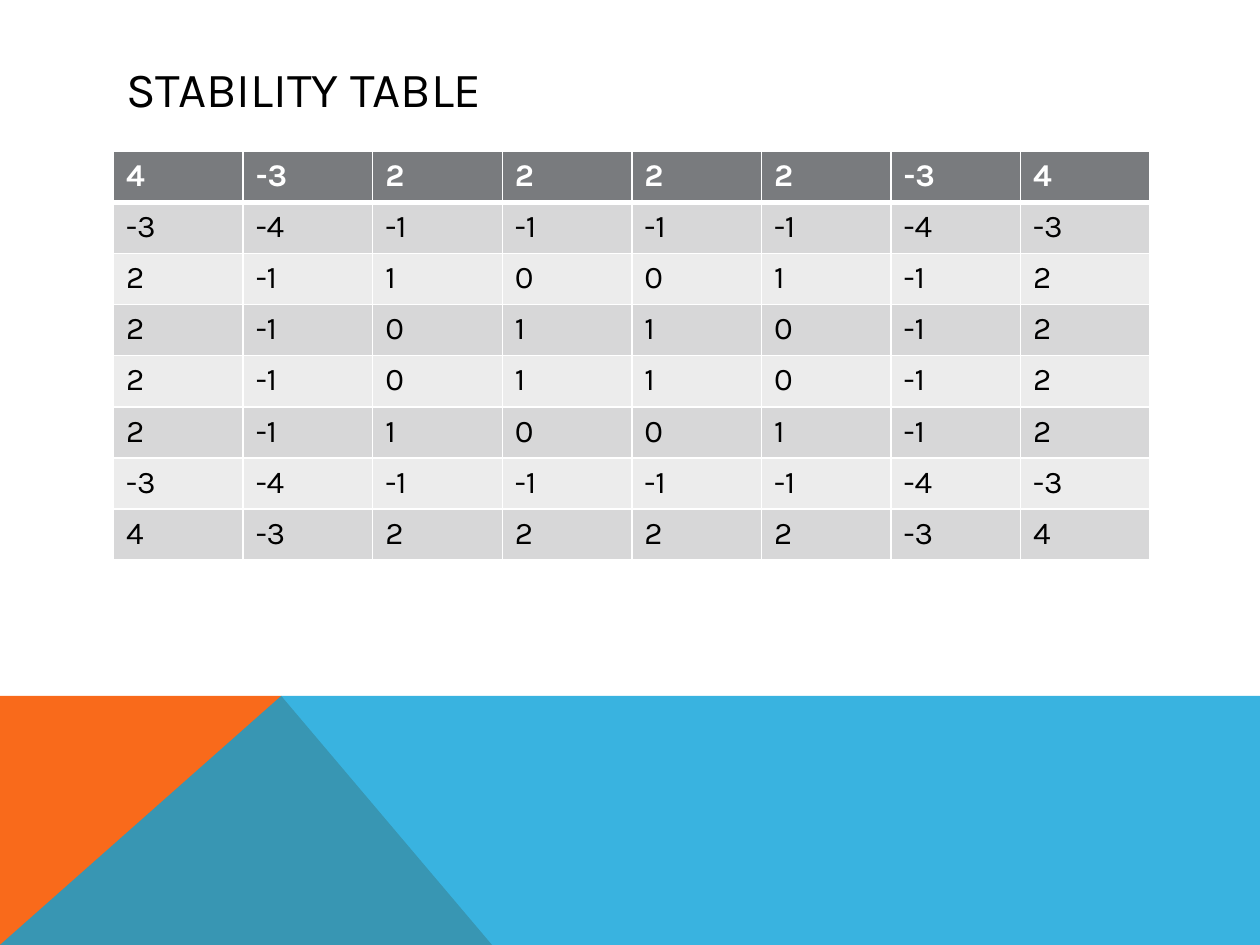
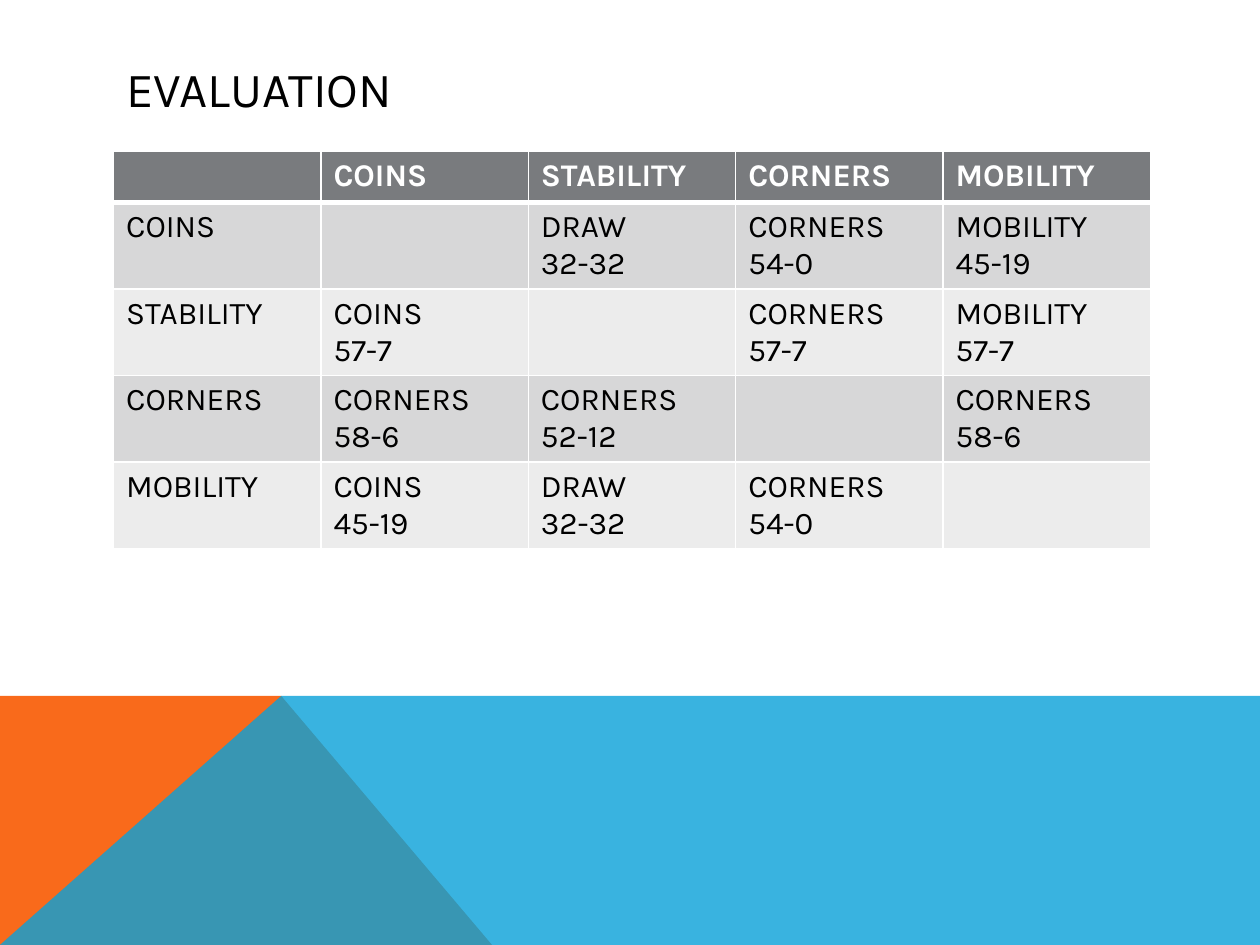
from dataclasses import dataclass

from lxml.etree import SubElement
from pptx import Presentation
from pptx.dml.color import RGBColor
from pptx.enum.text import MSO_ANCHOR, MSO_AUTO_SIZE, PP_ALIGN
from pptx.oxml import parse_xml
from pptx.oxml.ns import nsdecls, qn
from pptx.util import Cm, Pt


@dataclass(frozen=True)
class Theme:
    font: str = "Karla"
    title_size: int = 28
    cell_size: int = 18
    text: str = "000000"
    white: str = "FFFFFF"
    orange: str = "F96A1B"
    blue: str = "08A1D9"
    header: str = "797B7E"
    row_dark: str = "D7D7D8"
    row_light: str = "ECECEC"
    rule: int = 1
    header_rule: int = 3


WIDTH, HEIGHT = 25.4, 19.05
BAND_TOP, PEAK = 14.03, 5.67
LEFT, CONTENT_WIDTH = 2.29, 20.9
TABLE_TOP, HEADER_HEIGHT = 3.05, 1.03


class Deck:
    def __init__(self, theme):
        self.theme = theme
        self.prs = Presentation()
        self.prs.slide_width, self.prs.slide_height = Cm(WIDTH), Cm(HEIGHT)
        self.s = None

    def slide(self, title):
        """Start a slide with the shared bands and title."""
        self.s = self.prs.slides.add_slide(self.prs.slide_layouts[5])
        self.band([(0, HEIGHT), (0, BAND_TOP), (PEAK, BAND_TOP), (9.92, HEIGHT)],
                  self.theme.orange)
        self.band([(0, HEIGHT), (PEAK, BAND_TOP), (WIDTH, BAND_TOP), (WIDTH, HEIGHT)],
                  self.theme.blue, opacity=80)
        self.title(title)

    def band(self, points, color, opacity=100):
        start, *rest = [(Cm(x), Cm(y)) for x, y in points]
        builder = self.s.shapes.build_freeform(*start)
        builder.add_line_segments(rest, close=True)
        sp = builder.convert_to_shape()
        sp.shadow.inherit = False
        sp.line.fill.background()
        sp.fill.solid()
        sp.fill.fore_color.rgb = RGBColor.from_string(color)
        if opacity < 100:
            clr = sp.fill._xPr.find(qn("a:solidFill"))[0]
            SubElement(clr, qn("a:alpha")).set("val", str(opacity * 1000))

    def run(self, p, text, size, color, bold=False):
        r = p.add_run()
        r.text = text
        r.font.name, r.font.size, r.font.bold = self.theme.font, Pt(size), bold
        r.font.color.rgb = RGBColor.from_string(color)

    def title(self, text):
        sp = self.s.shapes.title
        sp.left, sp.top = Cm(LEFT), Cm(1.02)
        sp.width, sp.height = Cm(CONTENT_WIDTH), Cm(1.52)
        tf = sp.text_frame
        tf.word_wrap, tf.auto_size = True, MSO_AUTO_SIZE.NONE
        tf.vertical_anchor = MSO_ANCHOR.MIDDLE
        p = tf.paragraphs[0]
        p.alignment = PP_ALIGN.LEFT
        self.run(p, text, self.theme.title_size, self.theme.text)

    def table(self, rows, row_height):
        """Equal columns, a header row and alternating body rows."""
        n_cols = len(rows[0])
        height = HEADER_HEIGHT + row_height * (len(rows) - 1)
        table = self.s.shapes.add_table(
            len(rows), n_cols, Cm(LEFT), Cm(TABLE_TOP),
            Cm(CONTENT_WIDTH), Cm(height)).table
        for column in table.columns:
            column.width = Cm(CONTENT_WIDTH / n_cols)
        for i, row in enumerate(rows):
            table.rows[i].height = Cm(row_height if i else HEADER_HEIGHT)
            for j, text in enumerate(row):
                self.cell(table.cell(i, j), text, i)

    def cell(self, cell, text, row):
        t = self.theme
        fill = t.header if row == 0 else t.row_dark if row % 2 else t.row_light
        cell.fill.solid()
        cell.fill.fore_color.rgb = RGBColor.from_string(fill)
        self.borders(cell, top=t.header_rule if row == 1 else t.rule,
                     bottom=t.header_rule if row == 0 else t.rule)
        tf = cell.text_frame
        for k, line in enumerate(text.split("\n") if text else []):
            p = tf.add_paragraph() if k else tf.paragraphs[0]
            self.run(p, line, t.cell_size, t.text if row else t.white, bold=row == 0)

    def borders(self, cell, top, bottom):
        sides = {"L": self.theme.rule, "R": self.theme.rule, "T": top, "B": bottom}
        tc_pr = cell._tc.get_or_add_tcPr()
        for k, (side, width) in enumerate(sides.items()):
            tc_pr.insert(k, parse_xml(
                f'<a:ln{side} {nsdecls("a")} w="{Pt(width)}"><a:solidFill>'
                f'<a:srgbClr val="{self.theme.white}"/></a:solidFill></a:ln{side}>'))


def main():
    deck = Deck(Theme())

    # Square weights: one quadrant of the board, mirrored both ways
    quadrant = [[4, -3, 2, 2], [-3, -4, -1, -1], [2, -1, 1, 0], [2, -1, 0, 1]]
    top_half = [[str(v) for v in row + row[::-1]] for row in quadrant]
    deck.slide("STABILITY TABLE")
    deck.table(top_half + top_half[::-1], row_height=1.03)

    # Winner and score for each pair of heuristics
    deck.slide("EVALUATION")
    deck.table([
        ["", "COINS", "STABILITY", "CORNERS", "MOBILITY"],
        ["COINS", "", "DRAW\n32-32", "CORNERS 54-0", "MOBILITY 45-19"],
        ["STABILITY", "COINS\n57-7", "", "CORNERS\n57-7", "MOBILITY\n57-7"],
        ["CORNERS", "CORNERS\n58-6", "CORNERS\n52-12", "", "CORNERS\n58-6"],
        ["MOBILITY", "COINS\n45-19", "DRAW\n32-32", "CORNERS\n54-0", ""],
    ], row_height=1.74)

    deck.prs.save("out.pptx")


if __name__ == "__main__":
    main()
